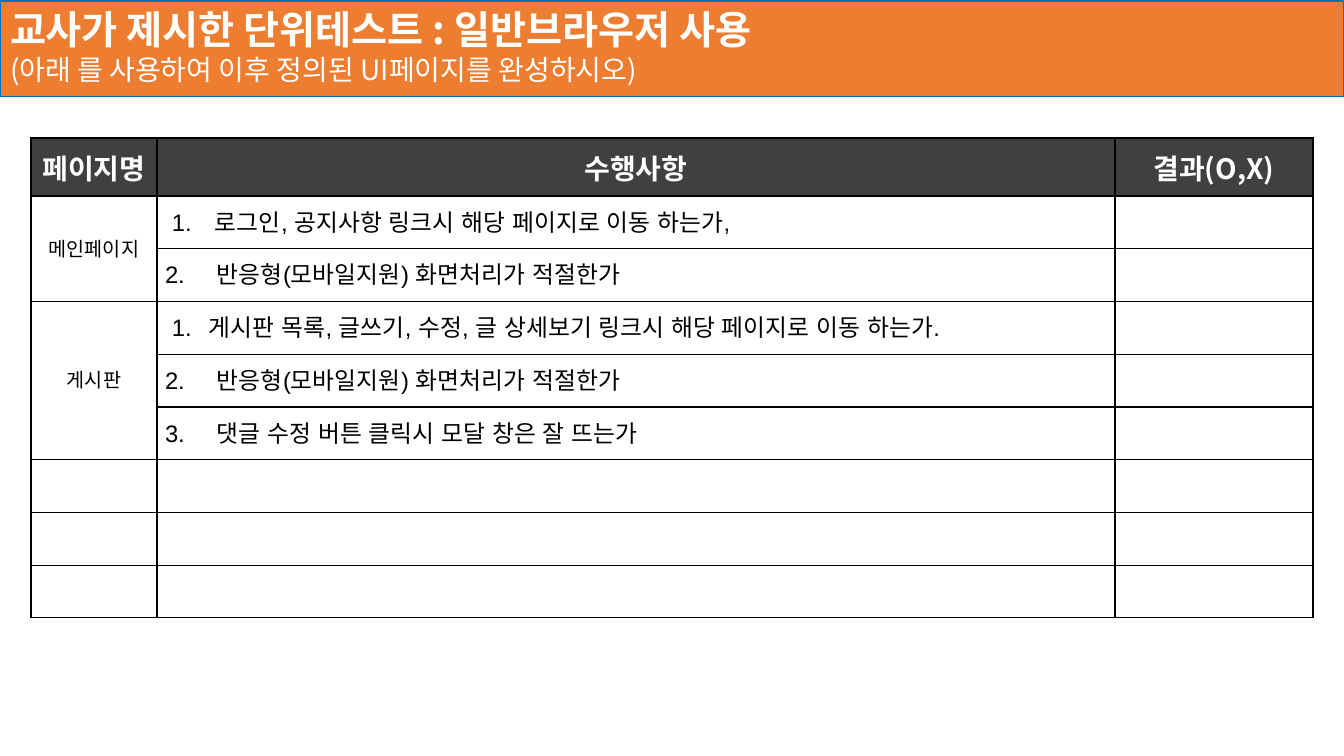
from lxml.etree import SubElement
from pptx import Presentation
from pptx.dml.color import RGBColor
from pptx.enum.text import MSO_ANCHOR, MSO_AUTO_SIZE, PP_ALIGN
from pptx.oxml import parse_xml
from pptx.oxml.ns import nsdecls, qn
from pptx.util import Pt

TITLE = "교사가 제시한 단위테스트 : 일반브라우저 사용"
SUBTITLE = "(아래 를 사용하여 이후 정의된 UI페이지를 완성하시오)"
HEADINGS = ("페이지명", "수행사항", "결과(O,X)")
# Page name, text indent of its first check in px, checks
PAGES = [
    ("메인페이지", 57, [
        "로그인, 공지사항 링크시 해당 페이지로 이동 하는가,",
        "2.\t반응형(모바일지원) 화면처리가 적절한가",
    ]),
    ("게시판", 51, [
        "게시판 목록, 글쓰기, 수정, 글 상세보기 링크시 해당 페이지로 이동 하는가.",
        "2.\t반응형(모바일지원) 화면처리가 적절한가",
        "3.\t댓글 수정 버튼 클릭시 모달 창은 잘 뜨는가",
    ]),
    ("", 0, [""]),
    ("", 0, [""]),
    ("", 0, [""]),
]

WHITE = RGBColor(0xFF, 0xFF, 0xFF)
BLACK = RGBColor(0x00, 0x00, 0x00)
ORANGE = RGBColor(0xED, 0x7D, 0x31)
BLUE = RGBColor(0x00, 0x70, 0xC0)
CHARCOAL = RGBColor(0x40, 0x40, 0x40)
KOREAN, LATIN = "Noto Sans CJK KR", "Arial"

SLIDE_SIZE = (1344, 756)
BANNER = (0, 1, 1344, 96)
BANNER_INSETS = (10, 2, 10, 8)
TABLE_LEFT, TABLE_TOP = 31, 138
COLUMN_WIDTHS = (126, 140, 818, 198)
PAGE_COLUMN, CHECK_COLUMN, CHECK_END_COLUMN, RESULT_COLUMN = range(4)
HEADING_HEIGHT, CHECKS_HEIGHT = 58, 422
CELL_INSETS = (1, 1, 1, 0)
FIRST_NUMBER_AT = 14
NEXT_NUMBER_AT, NEXT_TEXT_AT = 7, 59


def px(length):
    return round(length * 914400 / 100.8)


def set_insets(target, insets):
    (target.margin_left, target.margin_top,
     target.margin_right, target.margin_bottom) = map(px, insets)


def style(paragraph, size, color, font, bold=False):
    for run in paragraph.runs:
        run.font.size = Pt(size)
        run.font.bold = bold
        run.font.color.rgb = color
        run.font.name = font
        SubElement(run._r.get_or_add_rPr(), qn("a:ea"), typeface=font)


def hang(paragraph, number_at, text_at):
    properties = paragraph._p.get_or_add_pPr()
    properties.set("marL", str(px(text_at)))
    properties.set("indent", str(px(number_at - text_at)))
    return properties


def add_number(properties):
    SubElement(properties, qn("a:buFont"), typeface=KOREAN)
    SubElement(properties, qn("a:buAutoNum"), type="arabicPeriod")


def add_borders(cell):
    properties = cell._tc.get_or_add_tcPr()
    for index, side in enumerate("LRTB"):
        properties.insert(index, parse_xml(
            f'<a:ln{side} {nsdecls("a")} w="{Pt(1)}"><a:solidFill>'
            f'<a:srgbClr val="{BLACK}"/></a:solidFill></a:ln{side}>'))


def add_banner(slide):
    banner = slide.shapes.title
    banner.left, banner.top, banner.width, banner.height = map(px, BANNER)
    banner.fill.solid()
    banner.fill.fore_color.rgb = ORANGE
    banner.line.color.rgb = BLUE
    banner.line.width = Pt(0.75)
    frame = banner.text_frame
    frame.text = f"{TITLE}\n{SUBTITLE}"
    frame.word_wrap = True
    frame.auto_size = MSO_AUTO_SIZE.NONE
    frame.vertical_anchor = MSO_ANCHOR.MIDDLE
    set_insets(frame, BANNER_INSETS)
    for paragraph, size, bold in zip(frame.paragraphs, (28, 20), (True, False)):
        paragraph.alignment = PP_ALIGN.LEFT
        paragraph.line_spacing = 1.0
        paragraph.space_before = Pt(0)
        style(paragraph, size, WHITE, KOREAN, bold)


def fill_cell(cell, text, size, color=BLACK, font=LATIN, bold=False):
    cell.text = text
    paragraph = cell.text_frame.paragraphs[0]
    paragraph.alignment = PP_ALIGN.CENTER
    style(paragraph, size, color, font, bold)
    return paragraph


def add_checklist(slide):
    check_count = sum(len(checks) for _, _, checks in PAGES)
    heights = [HEADING_HEIGHT] + [CHECKS_HEIGHT / check_count] * check_count
    table = slide.shapes.add_table(
        len(heights), len(COLUMN_WIDTHS), px(TABLE_LEFT), px(TABLE_TOP),
        px(sum(COLUMN_WIDTHS)), px(sum(heights))).table
    table.horz_banding = False
    for column, width in zip(table.columns, COLUMN_WIDTHS):
        column.width = px(width)
    for row, height in zip(table.rows, heights):
        row.height = px(height)

    for cell in table.iter_cells():
        cell.vertical_anchor = MSO_ANCHOR.MIDDLE
        set_insets(cell, CELL_INSETS)
        cell.fill.background()
        add_borders(cell)
    for row in range(len(heights)):
        table.cell(row, CHECK_COLUMN).merge(table.cell(row, CHECK_END_COLUMN))

    for column, heading in zip((PAGE_COLUMN, CHECK_COLUMN, RESULT_COLUMN), HEADINGS):
        cell = table.cell(0, column)
        cell.fill.solid()
        cell.fill.fore_color.rgb = CHARCOAL
        fill_cell(cell, heading, 20, WHITE, KOREAN, True)

    top = 1
    for page, first_text_at, checks in PAGES:
        page_cell = table.cell(top, PAGE_COLUMN)
        if len(checks) > 1:
            page_cell.merge(table.cell(top + len(checks) - 1, PAGE_COLUMN))
        fill_cell(page_cell, page, 14)
        for row, check in enumerate(checks, top):
            paragraph = fill_cell(table.cell(row, CHECK_COLUMN), check, 17)
            paragraph.alignment = PP_ALIGN.LEFT
            if row > top:
                hang(paragraph, NEXT_NUMBER_AT, NEXT_TEXT_AT)
            elif check:
                add_number(hang(paragraph, FIRST_NUMBER_AT, first_text_at))
        top += len(checks)


def main():
    presentation = Presentation()
    presentation.slide_width, presentation.slide_height = map(px, SLIDE_SIZE)
    slide = presentation.slides.add_slide(presentation.slide_layouts[5])
    add_banner(slide)
    add_checklist(slide)
    presentation.save("out.pptx")


if __name__ == "__main__":
    main()
